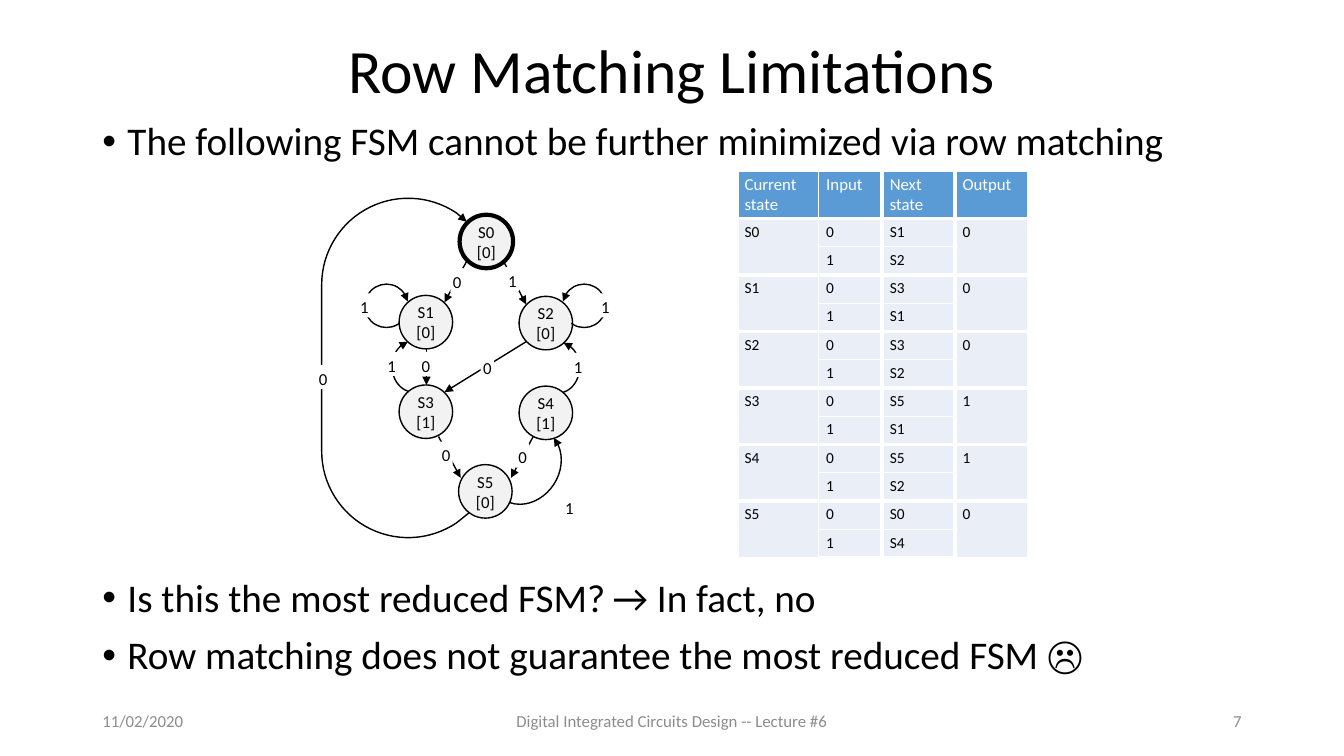
import math
import pptx
import pptx.util
import pptx.dml.color
import pptx.enum.shapes
import pptx.enum.text
import pptx.oxml.ns
import lxml.etree

Pt = pptx.util.Pt
qn = pptx.oxml.ns.qn
SHAPE = pptx.enum.shapes.MSO_SHAPE
ALIGN = pptx.enum.text.PP_ALIGN
MIDDLE = pptx.enum.text.MSO_ANCHOR.MIDDLE
color = pptx.dml.color.RGBColor.from_string
sub_element = lxml.etree.SubElement


def write(frame, lines, size, ink="000000", align=ALIGN.LEFT):
    frame.text = "\n".join(lines)
    for paragraph in frame.paragraphs:
        paragraph.alignment = align
        paragraph.font.name = "Calibri"
        paragraph.font.size = Pt(size)
        paragraph.font.color.rgb = color(ink)


def style_edge(edge, arrow_end):
    edge.line.color.rgb = color("000000")
    edge.line.width = Pt(1)
    properties = edge._element.spPr
    sub_element(properties.find(qn("a:ln")), qn("a:" + arrow_end), type="triangle")
    sub_element(properties, qn("a:effectLst"))


presentation = pptx.Presentation()
presentation.slide_width, presentation.slide_height = Pt(960), Pt(540)
slide = presentation.slides.add_slide(presentation.slide_layouts[6])
shapes = slide.shapes

# Title and footer
for text, left, top, width, height, size, ink, align in [
    ("Row Matching Limitations", 66, 23.8, 828, 56.9, 44, "000000", ALIGN.CENTER),
    ("11/02/2020", 66, 500.5, 216, 28.8, 12, "8C8C8C", ALIGN.LEFT),
    ("Digital Integrated Circuits Design -- Lecture #6", 318, 500.5, 324, 28.8, 12, "8C8C8C", ALIGN.CENTER),
    ("7", 678, 500.5, 216, 28.8, 12, "8C8C8C", ALIGN.RIGHT),
]:
    frame = shapes.add_textbox(Pt(left), Pt(top), Pt(width), Pt(height)).text_frame
    frame.word_wrap = True
    frame.vertical_anchor = MIDDLE
    write(frame, [text], size, ink, align)
    frame.paragraphs[0].line_spacing = 0.9 if size == 44 else 1

# Statements
for text, left, top, width, bulleted in [
    ("The following FSM cannot be further minimized via row matching", 66, 83.5, 773, True),
    ("Is this the most reduced FSM?", 66, 409.7, 376, True),
    ("→ In fact, no", 430.6, 409.7, 166, False),
    ("Row matching does not guarantee the most reduced FSM ☹", 66, 450.7, 834, True),
]:
    frame = shapes.add_textbox(Pt(left), Pt(top), Pt(width), Pt(38)).text_frame
    frame.word_wrap = True
    write(frame, [text], 28)
    paragraph = frame.paragraphs[0]
    paragraph.line_spacing = 0.9
    paragraph.space_before = Pt(12)
    if bulleted:
        properties = paragraph._p.get_or_add_pPr()
        properties.set("marL", str(Pt(18)))
        properties.set("indent", str(-Pt(18)))
        sub_element(properties, qn("a:buFont"), typeface="Arial")
        sub_element(properties, qn("a:buChar"), char="•")

# State nodes
for state, output, left, top in [
    ("S0", 0, 328.3, 153.4), ("S1", 0, 285.1, 211), ("S2", 0, 370.8, 211.7),
    ("S3", 1, 285.1, 275), ("S4", 1, 370.8, 275.8), ("S5", 0, 327.6, 331.9),
]:
    node = shapes.add_shape(SHAPE.OVAL, Pt(left), Pt(top), Pt(38.2), Pt(38.2))
    node.shadow.inherit = False
    node.fill.solid()
    node.fill.fore_color.rgb = color("F2F2F2")
    node.line.color.rgb = color("000000")
    node.line.width = Pt(3 if state == "S0" else 1)
    node.text_frame.word_wrap = False
    node.text_frame.vertical_anchor = MIDDLE
    write(node.text_frame, [state, f"[{output}]"], 12, align=ALIGN.CENTER)

# Straight transitions
for start_x, start_y, end_x, end_y in [
    (333.4, 186.5, 317.5, 216), (360, 187.2, 375.8, 217.4),
    (304.6, 248.4, 304.6, 275), (375.8, 244.1, 317.5, 280.1),
    (380.9, 311.8, 365, 341.3), (313.2, 311.8, 329, 341.3),
]:
    edge = shapes.add_connector(pptx.enum.shapes.MSO_CONNECTOR.STRAIGHT,
                                Pt(start_x), Pt(start_y), Pt(end_x), Pt(end_y))
    style_edge(edge, "tailEnd")

# Curved transitions
loop, bend, wide_bend = (114.92, 75.89), (61.55, 154.13), (60.12, 154.13)
for left, top, width, height, angles, flipped, rotation, arrow_end in [
    (401.8, 203, 31, 31, loop, False, 0, "headEnd"),
    (260.6, 203, 31, 31, loop, True, 0, "headEnd"),
    (280.1, 243.4, 31, 36.7, bend, False, 0, "tailEnd"),
    (383, 244.1, 31, 36.7, bend, True, 0, "tailEnd"),
    (350.6, 303.8, 49, 57.6, wide_bend, True, 32.9, "tailEnd"),
]:
    edge = shapes.add_shape(SHAPE.ARC, Pt(left), Pt(top), Pt(width), Pt(height))
    edge.adjustments[0], edge.adjustments[1] = angles
    edge.rotation = rotation
    if flipped:
        edge._element.spPr.find(qn("a:xfrm")).set("flipH", "1")
    edge.fill.background()
    style_edge(edge, arrow_end)

# Return transition from S5 to S0
center_x, radius = 291.6, 61.8
points = []
for center_y, first_angle in [(322.2, 56), (203.4, 180)]:
    for step in range(32):
        angle = math.radians(first_angle + 4 * step)
        points.append((center_x + radius * math.cos(angle), center_y + radius * math.sin(angle)))
points.append((333.4, 158.4))
builder = shapes.build_freeform(Pt(334.8), Pt(366.5))
builder.add_line_segments([(Pt(x), Pt(y)) for x, y in points], close=False)
edge = builder.convert_to_shape()
edge.fill.background()
style_edge(edge, "tailEnd")

# Transition inputs
for text, left, top in [
    ("1", 361.4, 190.8), ("0", 321.8, 191.5), ("1", 427.7, 209.5), ("1", 255.6, 209.5),
    ("0", 343.4, 252.7), ("0", 299.5, 251.3), ("1", 275, 251.3), ("1", 408.2, 252),
    ("0", 368.6, 316.8), ("0", 313.9, 315.4), ("1", 402, 353), ("0", 226.1, 260.6),
]:
    label = shapes.add_shape(SHAPE.RECTANGLE, Pt(left), Pt(top), Pt(9.4), Pt(17.3))
    label.shadow.inherit = False
    label.fill.solid()
    label.fill.fore_color.rgb = color("FFFFFF")
    label.line.fill.background()
    frame = label.text_frame
    frame.margin_left = frame.margin_right = frame.margin_bottom = 0
    frame.margin_top = Pt(2.9)
    frame.vertical_anchor = MIDDLE
    write(frame, [text], 12, align=ALIGN.CENTER)
    frame.paragraphs[0].line_spacing = Pt(13.8)

# State table: state, next state on 0, next state on 1, output
rows = [["Current state", "Input", "Next state", "Output"]]
for state, next_on_0, next_on_1, output in [
    ("S0", "S1", "S2", "0"), ("S1", "S3", "S1", "0"), ("S2", "S3", "S2", "0"),
    ("S3", "S5", "S1", "1"), ("S4", "S5", "S2", "1"), ("S5", "S0", "S4", "0"),
]:
    rows += [[state, "0", next_on_0, output], ["", "1", next_on_1, ""]]
table = shapes.add_table(len(rows), 4, Pt(526.3), Pt(121.7), Pt(207.8), Pt(276)).table
for column, width in zip(table.columns, [58.3, 45.4, 52, 52]):
    column.width = Pt(width)
column_borders = [3, 1, 3, 3, 1]
for row_index, row in enumerate(rows):
    table.rows[row_index].height = Pt(20.2 if row_index else 33.8)
    is_second_input = row_index > 0 and row_index % 2 == 0
    for column_index, text in enumerate(row):
        cell = table.cell(row_index, column_index)
        write(cell.text_frame, [text], 11 if row_index else 12, "000000" if row_index else "FFFFFF")
        cell.margin_left = cell.margin_right = Pt(5.6)
        cell.margin_top = cell.margin_bottom = Pt(2.8)
        properties = cell._tc.get_or_add_tcPr()
        for side, width in [
            ("lnL", column_borders[column_index]), ("lnR", column_borders[column_index + 1]),
            ("lnT", 1 if is_second_input else 3), ("lnB", 1 if row_index % 2 else 3),
        ]:
            border = sub_element(properties, qn("a:" + side), w=str(Pt(width)))
            sub_element(sub_element(border, qn("a:solidFill")), qn("a:srgbClr"), val="FFFFFF")
        cell.fill.solid()
        cell.fill.fore_color.rgb = color("EAEFF7" if row_index else "5B9BD5")
for row_index in range(1, len(rows), 2):
    for column_index in (0, 3):
        table.cell(row_index, column_index).merge(table.cell(row_index + 1, column_index))

presentation.save("out.pptx")
